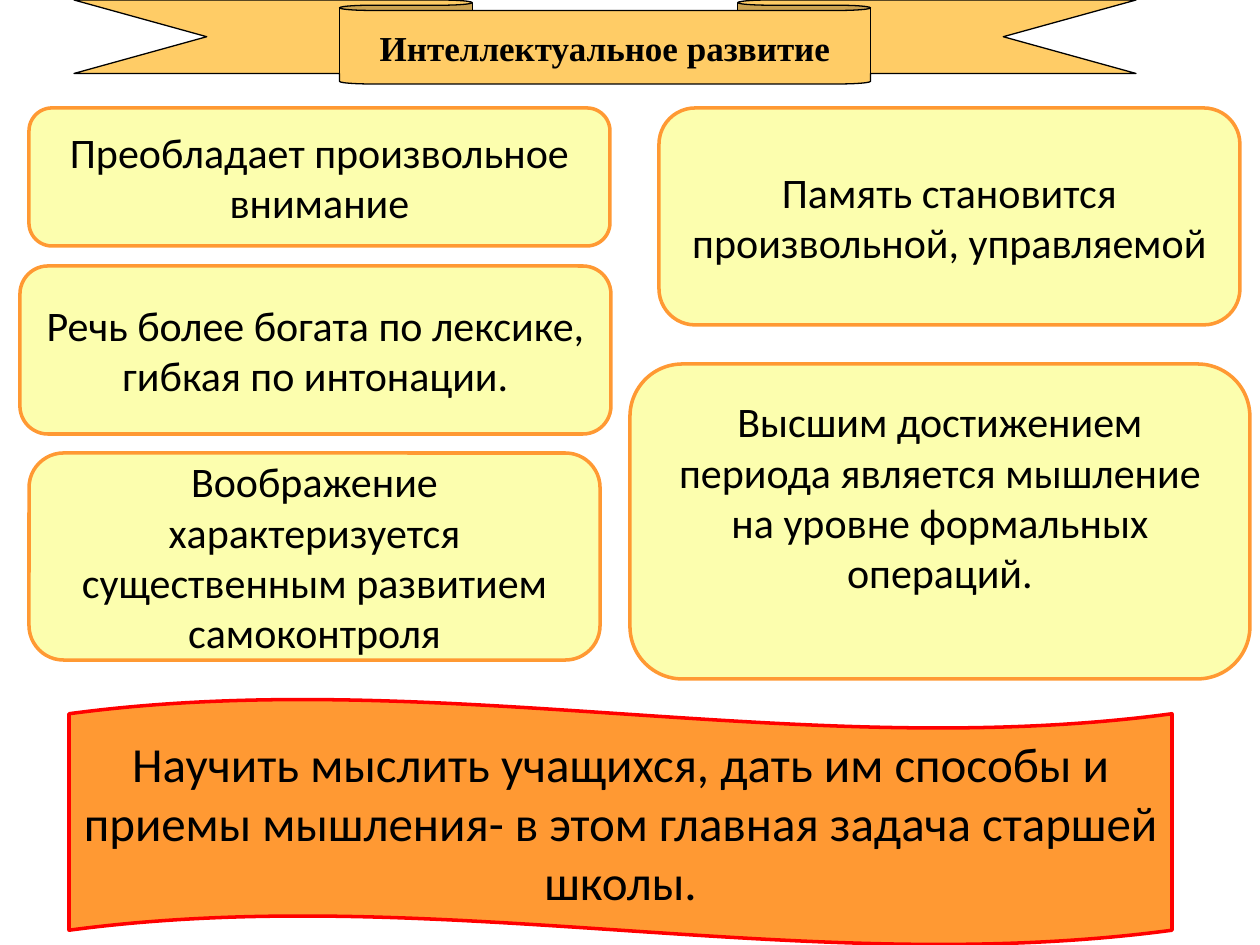
import dataclasses

import pptx
import pptx.dml.color
import pptx.enum.shapes
import pptx.enum.text
import pptx.util

SHAPE = pptx.enum.shapes.MSO_SHAPE


@dataclasses.dataclass(frozen=True)
class Theme:
    body_font: str = "Calibri"
    title_font: str = "Times New Roman"
    text: str = "000000"
    card_fill: str = "FCFEAE"
    orange: str = "FF9933"
    red: str = "FF0000"
    ribbon_fill: str = "FFCC66"
    card_size: int = 24
    wave_size: int = 28
    title_size: int = 20
    thick: float = 2
    thin: float = 0.75


THEME = Theme()

CARDS = [
    ((29, 108, 581, 138), "Преобладает произвольное внимание"),
    ((659, 108, 581, 217), "Память становится произвольной, управляемой"),
    ((20, 266, 591, 168), "Речь более богата по лексике, гибкая по интонации."),
    ((29, 453, 571, 207),
     "Воображение характеризуется существенным развитием самоконтроля"),
]
THINKING = ((630, 364, 620, 315),
            "Высшим достижением периода является мышление на уровне "
            "формальных операций.")
GOAL = ((69, 699, 1103, 246),
        "Научить мыслить учащихся, дать им способы и приемы мышления- "
        "в этом главная задача старшей школы.")
TITLE = ((74, 0, 1062, 84), "Интеллектуальное развитие")


def px(value):
    return pptx.util.Emu(round(value * 914400 / 126))


def rgb(value):
    return pptx.dml.color.RGBColor.from_string(value)


def add_panel(slide, kind, box, fill, line, width):
    s = slide.shapes.add_shape(kind, *map(px, box))
    s.shadow.inherit = False
    s.fill.solid()
    s.fill.fore_color.rgb = rgb(fill)
    s.line.color.rgb = rgb(line)
    s.line.width = pptx.util.Pt(width)
    return s


def set_text(s, text, size, font, bold=False, wrap=True):
    tf = s.text_frame
    tf.text = text
    tf.word_wrap = wrap
    tf.vertical_anchor = pptx.enum.text.MSO_ANCHOR.MIDDLE
    p = tf.paragraphs[0]
    p.alignment = pptx.enum.text.PP_ALIGN.CENTER
    r = p.runs[0]
    r.font.size = pptx.util.Pt(size)
    r.font.name = font
    r.font.bold = bold
    r.font.color.rgb = rgb(THEME.text)


def add_card(slide, box, text):
    s = add_panel(slide, SHAPE.ROUNDED_RECTANGLE, box,
                  THEME.card_fill, THEME.orange, THEME.thick)
    set_text(s, text, THEME.card_size, THEME.body_font)
    return s


def add_wave(slide, box, text):
    s = add_panel(slide, SHAPE.WAVE, box,
                  THEME.orange, THEME.red, THEME.thick)
    s.adjustments[0] = 0.06
    s.adjustments[1] = 0
    set_text(s, text, THEME.wave_size, THEME.body_font)


def add_ribbon(slide, box, text):
    s = add_panel(slide, SHAPE.DOWN_RIBBON, box,
                  THEME.ribbon_fill, THEME.text, THEME.thin)
    s.adjustments[0] = 0.125
    s.adjustments[1] = 0.5
    set_text(s, text, THEME.title_size, THEME.title_font,
             bold=True, wrap=False)


def main():
    prs = pptx.Presentation()
    prs.slide_width = px(1260)
    prs.slide_height = px(945)
    slide = prs.slides.add_slide(prs.slide_layouts[6])
    for box, text in CARDS:
        add_card(slide, box, text)
    thinking = add_card(slide, *THINKING)
    thinking.text_frame.margin_bottom = px(56)
    add_wave(slide, *GOAL)
    add_ribbon(slide, *TITLE)
    prs.save("out.pptx")


if __name__ == "__main__":
    main()
